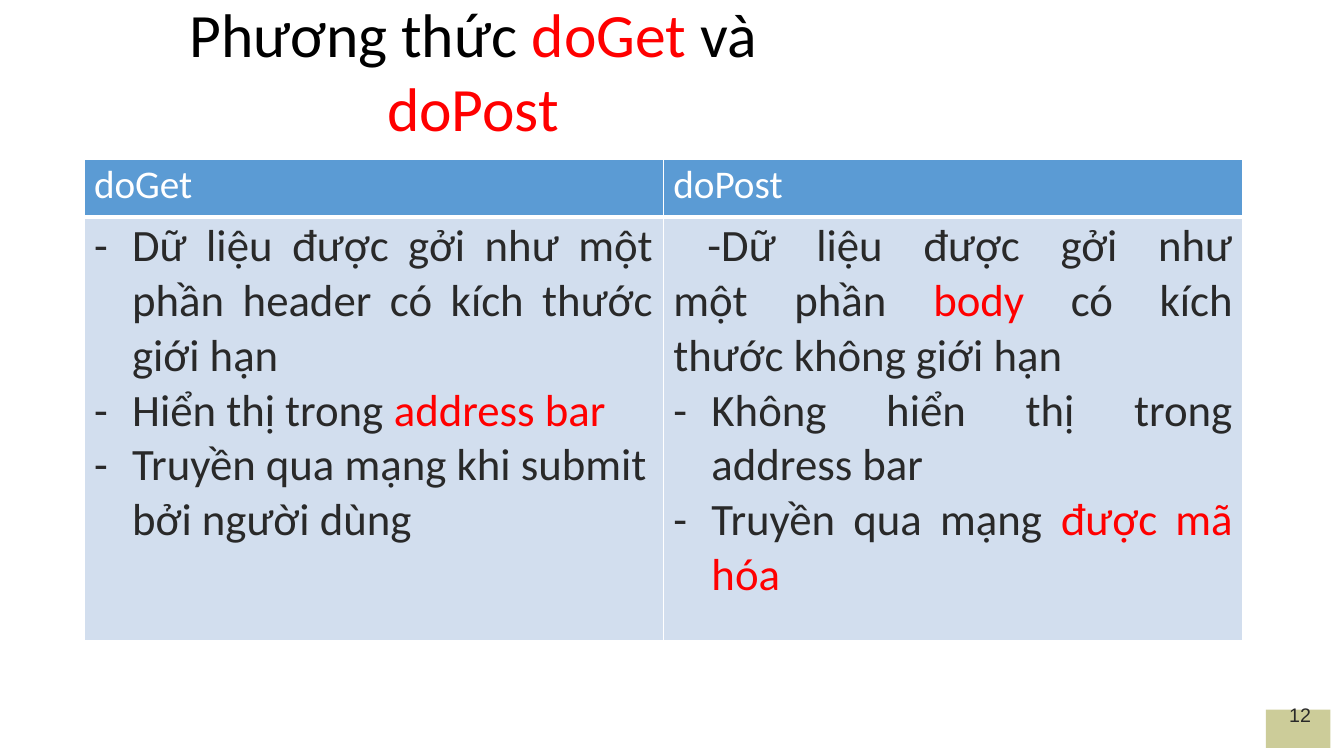
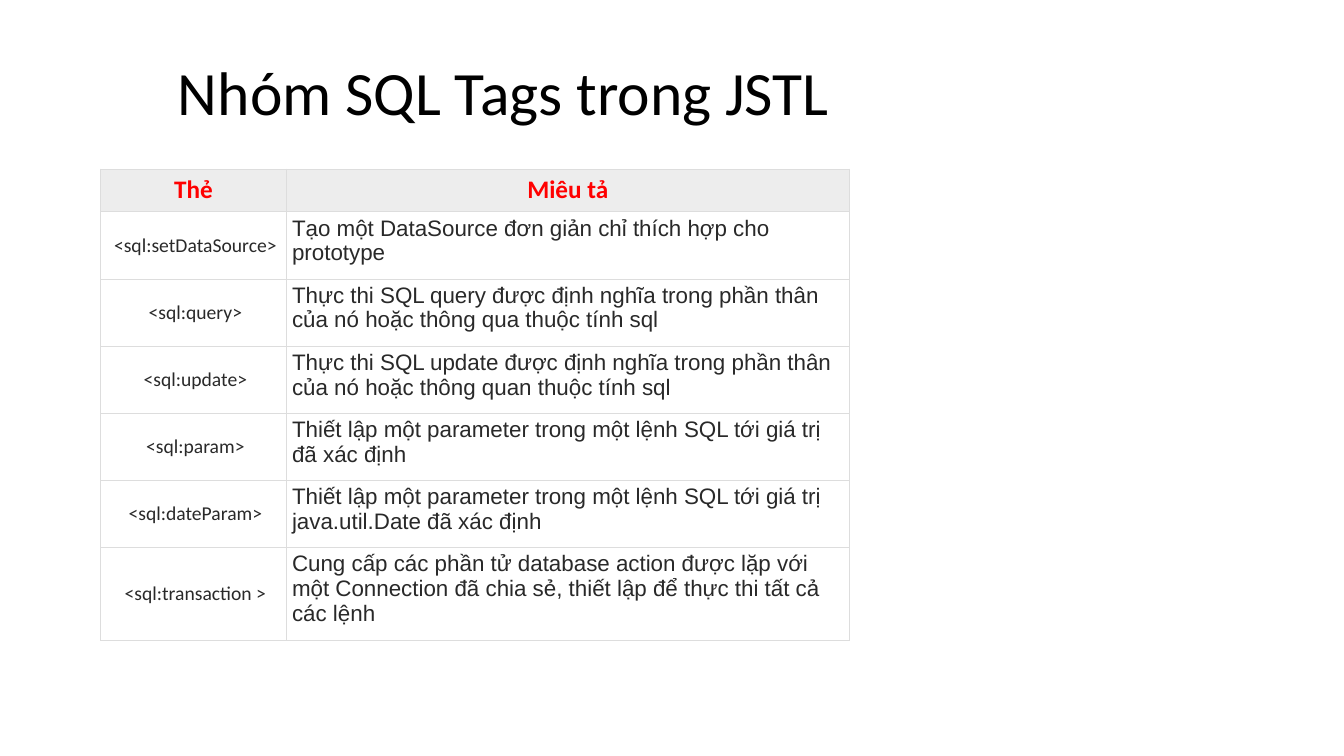
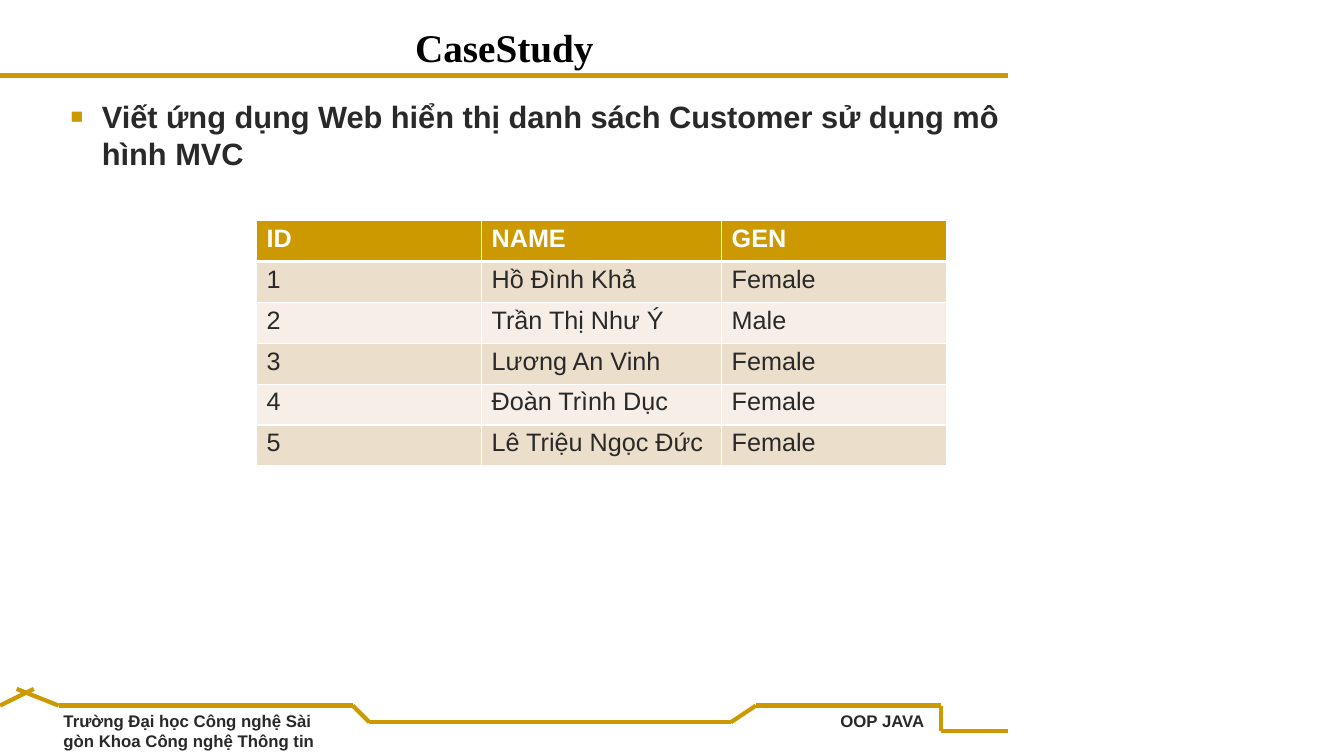
from dataclasses import dataclass
from itertools import pairwise

from lxml.etree import SubElement
from pptx import Presentation
from pptx.dml.color import RGBColor
from pptx.enum.shapes import MSO_CONNECTOR, MSO_SHAPE
from pptx.enum.text import MSO_ANCHOR, PP_ALIGN
from pptx.oxml import parse_xml
from pptx.oxml.ns import nsdecls, qn
from pptx.util import Cm, Pt


@dataclass(frozen=True)
class Theme:
    black: str = "000000"
    white: str = "FFFFFF"
    ink: str = "292929"
    red: str = "FF0000"
    gold: str = "CC9900"
    sand: str = "EBDECA"
    cream: str = "F6EEE7"
    olive: str = "CCCC99"
    blue: str = "5B9BD4"
    pale_blue: str = "D2DEEE"
    grey: str = "EDEDED"
    rule: str = "DDDDDD"
    calibri: str = "Calibri"
    arial: str = "Arial"
    times: str = "Times New Roman"
    title: int = 44
    small_title: int = 28
    body: int = 32
    bullet: int = 22
    head: int = 18
    text: int = 16
    note: int = 14
    footer: int = 12


T = Theme()


def write(holder, lines, size, font=T.arial, color=T.ink, bold=False,
          align=PP_ALIGN.LEFT, anchor=MSO_ANCHOR.TOP, spacing=None, insets=(0, 0, 0, 0)):
    """Fill a cell or text frame, a paragraph a line; text between bars is red, \\v breaks a line."""
    holder.margin_left, holder.margin_top, holder.margin_right, holder.margin_bottom = map(Cm, insets)
    holder.vertical_anchor = anchor
    tf = holder.text_frame if hasattr(holder, "text_frame") else holder
    tf.word_wrap = True
    for i, line in enumerate(lines):
        p = tf.add_paragraph() if i else tf.paragraphs[0]
        p.alignment = align
        if spacing:
            p.line_spacing = Pt(spacing)
        for j, part in enumerate(line.split("|")):
            for k, piece in enumerate(part.split("\v")):
                if k:
                    p.add_line_break()
                if piece:
                    r = p.add_run()
                    r.text = piece
                    r.font.size, r.font.name, r.font.bold = Pt(size), font, bold
                    r.font.color.rgb = RGBColor.from_string(T.red if j % 2 else color)


def add_grid(s, left, top, widths, heights, fills, border, weight, head_weight):
    """Add a table with one fill per row (None for no fill) and a rule under its head."""
    table = s.shapes.add_table(len(heights), len(widths), Cm(left), Cm(top),
                               Cm(sum(widths)), Cm(sum(heights))).table
    table.first_row = table.horz_banding = False
    for col, width in zip(table.columns, widths):
        col.width = Cm(width)
    for i, (row, height, fill) in enumerate(zip(table.rows, heights, fills)):
        row.height = Cm(height)
        sides = {"lnL": weight, "lnR": weight,
                 "lnT": head_weight if i == 1 else weight,
                 "lnB": head_weight if i == 0 else weight}
        for cell in row.cells:
            if fill:
                cell.fill.solid()
                cell.fill.fore_color.rgb = RGBColor.from_string(fill)
            else:
                cell.fill.background()
            for n, (side, points) in enumerate(sides.items()):
                cell._tc.get_or_add_tcPr().insert(n, parse_xml(
                    f'<a:{side} {nsdecls("a")} w="{Pt(points)}"><a:solidFill>'
                    f'<a:srgbClr val="{border}"/></a:solidFill></a:{side}>'))
    return table


prs = Presentation()
prs.slide_width, prs.slide_height = Cm(33.87), Cm(19.05)

titles = [
    ((2.54, 1.7, 18.77, 1.93), "Phương thức |doGet| và |doPost|", T.title, T.calibri, False),
    ((4.45, 1.3, 16.5, 1.93), "Nhóm SQL Tags trong JSTL", T.title, T.calibri, False),
    ((10.41, 0.53, 4.6, 1.25), "CaseStudy", T.small_title, T.times, True),
]
for box, title, size, font, bold in titles:
    s = prs.slides.add_slide(prs.slide_layouts[6])
    tf = s.shapes.add_textbox(*map(Cm, box)).text_frame
    write(tf, [title], size, font, T.black, bold, PP_ALIGN.CENTER, MSO_ANCHOR.BOTTOM)
methods, tags, study = prs.slides

# doGet and doPost
sp = methods.shapes.add_shape(MSO_SHAPE.RECTANGLE, Cm(31.9), Cm(17.88), Cm(1.63), Cm(0.97))
sp.shadow.inherit = False
sp.fill.solid()
sp.fill.fore_color.rgb = RGBColor.from_string(T.olive)
sp.line.fill.background()
write(sp.text_frame, ["12"], T.note, align=PP_ALIGN.CENTER, spacing=12.4, insets=(0.1, 0, 0, 0))

compared = {
    "doGet": ["Dữ liệu được gởi như một phần header có kích thước giới hạn",
              "Hiển thị trong |address bar|",
              "Truyền qua mạng khi submit",
              "bởi người dùng"],
    "doPost": ["Dữ liệu được gởi như\vmột phần |body| có kích\vthước không giới hạn",
               "Không hiển thị trong\vaddress bar",
               "Truyền qua mạng |được mã hóa|"],
}
table = add_grid(methods, 2.12, 4.02, [14.6] * 2, [1.45, 10.67],
                 [T.blue, T.pale_blue], T.white, 1, 3)
bullets = []
for col, (method, points) in enumerate(compared.items()):
    head, cell = table.cell(0, col), table.cell(1, col)
    write(head, [method], T.small_title, T.calibri, T.white, insets=(0.25, 0.05, 0, 0))
    write(cell, points, T.body, T.calibri, align=PP_ALIGN.JUSTIFY, insets=(0.25, 0.05, 0.25, 0))
    for p, point in zip(cell.text_frame.paragraphs, points):
        if method == "doPost" and point == points[0]:
            bullets.append((p, "-", 0, 0.86, None, 100))
        elif point == "bởi người dùng":
            p._p.get_or_add_pPr().set("marL", str(Cm(0.96)))
        else:
            bullets.append((p, "-", 0.96, -0.96, None, 100))

# SQL tags
sql_tags = [
    ("<sql:setDataSource>", "Tạo một DataSource đơn giản chỉ thích hợp cho prototype"),
    ("<sql:query>", "Thực thi SQL query được định nghĩa trong phần thân của nó hoặc thông qua "
                    "thuộc tính sql"),
    ("<sql:update>", "Thực thi SQL update được định nghĩa trong phần thân của nó hoặc thông quan "
                     "thuộc tính sql"),
    ("<sql:param>", "Thiết lập một parameter trong một lệnh SQL tới giá trị đã xác định"),
    ("<sql:dateParam>", "Thiết lập một parameter trong một lệnh SQL tới giá trị java.util.Date "
                        "đã xác định"),
    ("<sql:transaction >", "Cung cấp các phần tử database action được lặp với một Connection "
                           "đã chia sẻ, thiết lập để thực thi tất cả các lệnh"),
]
table = add_grid(tags, 2.54, 4.26, [4.67, 14.2], [1.08] + [1.69] * 5 + [2.35],
                 [T.grey] + [None] * 6, T.rule, 0.75, 0.75)
for col, label in enumerate(("Thẻ", "Miêu tả")):
    write(table.cell(0, col), [label], T.head, T.calibri, T.red, True, PP_ALIGN.CENTER,
          insets=(0, 0.13, 0, 0))
for row, (tag, meaning) in enumerate(sql_tags, 1):
    write(table.cell(row, 0), [tag], T.note, T.calibri, align=PP_ALIGN.CENTER,
          anchor=MSO_ANCHOR.MIDDLE, insets=(0.1, 0, 0, 0))
    write(table.cell(row, 1), [meaning], T.text, insets=(0.15, 0.1, 0, 0))

# Case study
frame_lines = [
    [(0, 1.9), (25.4, 1.9)],
    [(0, 17.78), (0.85, 17.36)],
    [(0.42, 17.36), (1.48, 17.78), (8.89, 17.78), (9.31, 18.2), (18.42, 18.2),
     (19.05, 17.78), (23.71, 17.78), (23.71, 18.42), (25.4, 18.42)],
]
for points in frame_lines:
    for start, end in pairwise(points):
        line = study.shapes.add_connector(MSO_CONNECTOR.STRAIGHT, *map(Cm, start + end))
        line.line.color.rgb = RGBColor.from_string(T.gold)
        line.line.width = Pt(3)
        SubElement(line._element.spPr, qn("a:effectLst"))

labels = [
    ((1.6, 17.91, 6.76, 1.04), "Trường Đại học Công nghệ Sài gòn Khoa Công nghệ Thông tin",
     T.footer, 14.4),
    ((21.18, 17.91, 2.2, 0.53), "OOP JAVA", T.footer, 14.2),
    ((1.73, 2.46, 23.72, 1.93),
     "Viết ứng dụng Web hiển thị danh sách Customer sử dụng mô hình MVC", T.bullet, None),
]
for box, label, size, spacing in labels:
    tf = study.shapes.add_textbox(*map(Cm, box)).text_frame
    write(tf, [label], size, bold=True, spacing=spacing)
bullets.append((tf.paragraphs[0], "■", 0.84, -0.79, T.gold, 68))

customers = [
    ("ID", "NAME", "GEN"),
    ("1", "Hồ Đình Khả", "Female"),
    ("2", "Trần Thị Như Ý", "Male"),
    ("3", "Lương An Vinh", "Female"),
    ("4", "Đoàn Trình Dục", "Female"),
    ("5", "Lê Triệu Ngọc Đức", "Female"),
]
table = add_grid(study, 6.47, 5.56, [5.67, 6.05, 5.67], [1.03] * 6,
                 [T.gold] + [T.sand, T.cream] * 2 + [T.sand], T.white, 1, 3)
for row, customer in enumerate(customers):
    for col, value in enumerate(customer):
        write(table.cell(row, col), [value], T.head, color=T.ink if row else T.white,
              bold=row == 0, insets=(0.25, 0.1, 0, 0))

for p, char, margin, indent, color, percent in bullets:
    pPr = p._p.get_or_add_pPr()
    pPr.set("marL", str(Cm(margin)))
    pPr.set("indent", str(Cm(indent)))
    if color:
        SubElement(SubElement(pPr, qn("a:buClr")), qn("a:srgbClr"), val=color)
    SubElement(pPr, qn("a:buSzPct"), val=str(percent * 1000))
    SubElement(pPr, qn("a:buFont"), typeface=p.runs[0].font.name)
    SubElement(pPr, qn("a:buChar"), char=char)

prs.save("out.pptx")
